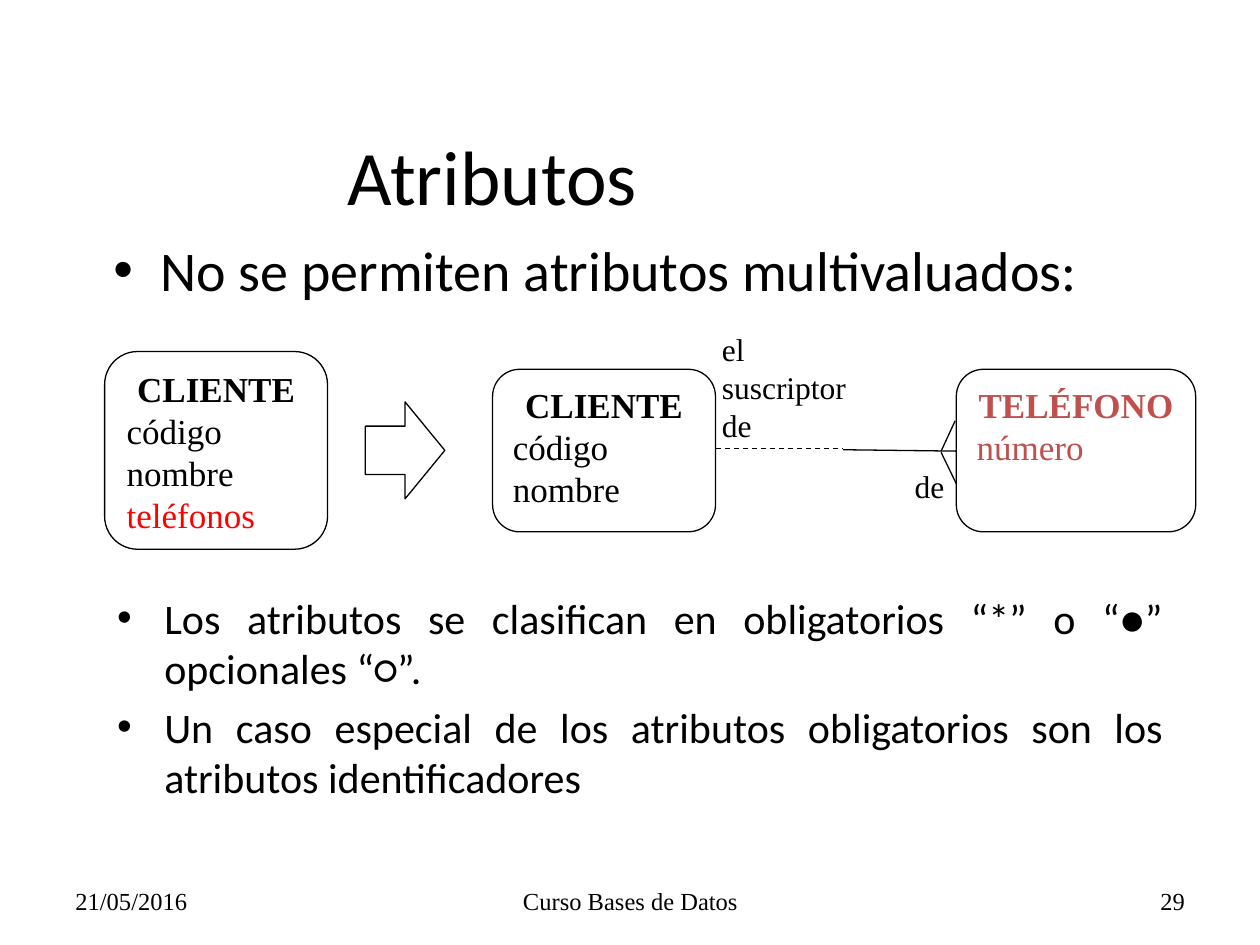
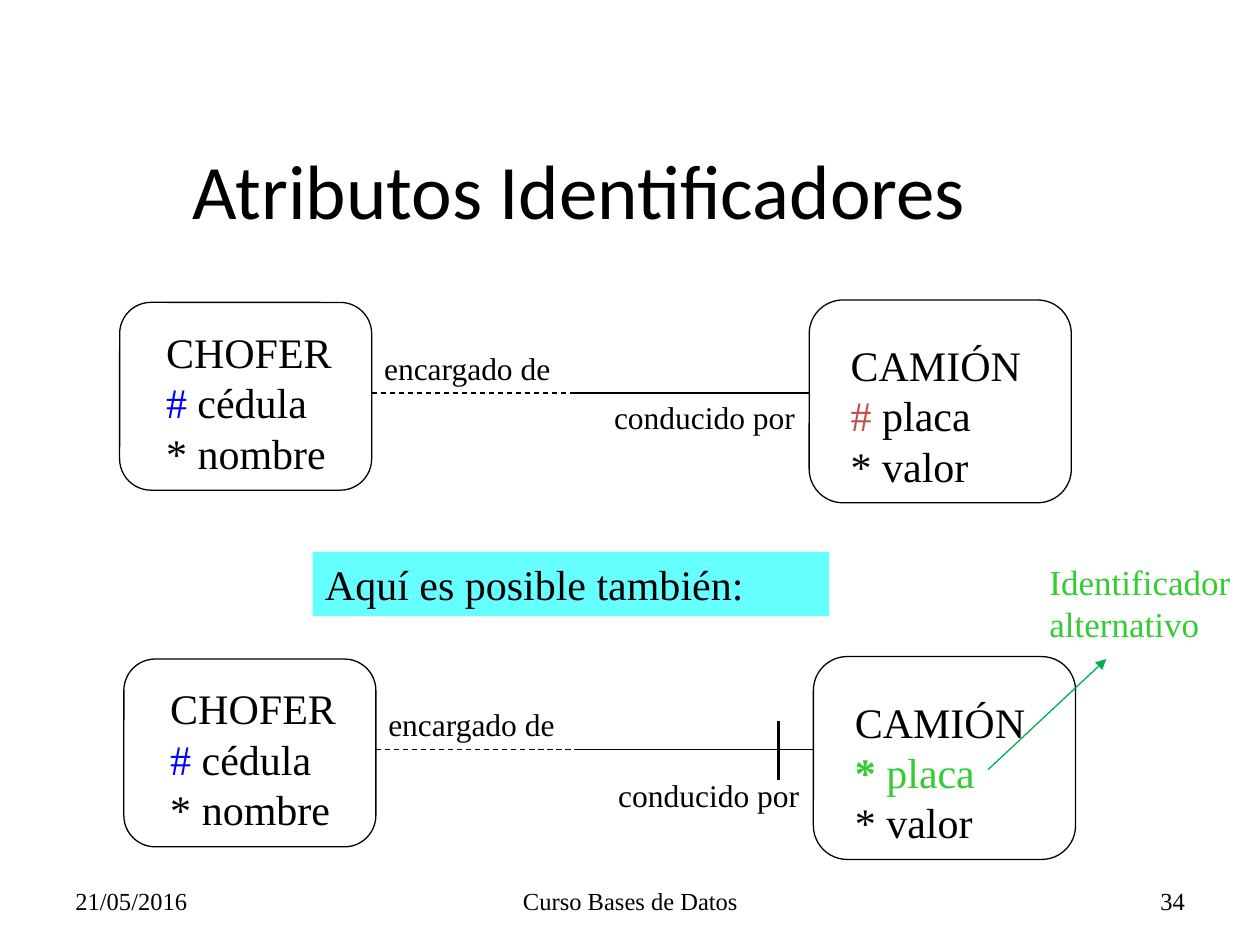
"""Two slides on entity attributes in a database course."""
from lxml.etree import SubElement
from pptx import Presentation
from pptx.dml.color import RGBColor
from pptx.enum.dml import MSO_LINE
from pptx.enum.shapes import MSO_CONNECTOR, MSO_SHAPE
from pptx.enum.text import MSO_ANCHOR, MSO_AUTO_SIZE, PP_ALIGN
from pptx.oxml.ns import qn
from pptx.util import Pt

C = {"black": "000000", "red": "FF0000", "brick": "C0504D", "blue": "0000FF",
     "green": "33CC33", "arrow": "00B050", "cyan": "66FFFF"}
SANS, SERIF = "Calibri", "Times New Roman"
L, M, R, J = PP_ALIGN.LEFT, PP_ALIGN.CENTER, PP_ALIGN.RIGHT, PP_ALIGN.JUSTIFY

DATE, COURSE = "21/05/2016", "Curso Bases de Datos"
FOOTER_X = [(36, 168, L), (246.2, 228.2, M), (516.2, 168, R)]
FOOTER_Y, FOOTER_H = 500.4, 28.8

INTRO = ["No se permiten atributos multivaluados:"]
NOTES = ["Los atributos se clasifican en obligatorios “*” o “●” opcionales “○”. ",
         "Un caso especial de los atributos obligatorios son los atributos identificadores"]
ENTITIES = [
    ((59.8, 200.9, 127.4, 113), "CLIENTE", "black",
     [("código", "black"), ("nombre", "black"), ("teléfonos", "red")]),
    ((281.5, 211, 127.4, 92.9), "CLIENTE", "black",
     [("código", "black"), ("nombre", "black")]),
    ((546.5, 211, 136.8, 92.9), "TELÉFONO", "brick", [("número", "brick")]),
]
PHONE_LINES = [((481.7, 257), (546.5, 257.8), False),
               ((537.8, 257.8), (545.8, 240.5), False),
               ((537.8, 258.5), (546.5, 276.5), False),
               ((409, 256.3), (481.7, 256.3), True)]
PHONE_ROLES = [("el suscriptor de", (405.4, 185, 90.7, 72.7)),
               ("de", (515.5, 263.5, 39.6, 28.8))]

DRIVER = [[("CHOFER", "black")], [("#", "blue"), (" cédula", "black")],
          [("* nombre", "black")]]
TRUCK_KEYS = [[("# ", "brick"), ("placa", "black")],
              [("* ", "green", True), ("placa", "green")]]
RELATIONS = [((68.4, 172.8), 223.9, TRUCK_KEYS[0]), ((70.8, 376.6), 439.9, TRUCK_KEYS[1])]


def color(name):
    return RGBColor.from_string(C[name])


def write(tf, paras, size, font=SERIF, aligns=(L,)):
    for i, runs in enumerate(paras):
        p = tf.paragraphs[0] if i == 0 else tf.add_paragraph()
        p.alignment = aligns[min(i, len(aligns) - 1)]
        for text, name, *bold in runs:
            r = p.add_run()
            r.text = text
            r.font.size, r.font.name = Pt(size), font
            r.font.bold = bool(bold)
            r.font.color.rgb = color(name)


def place(sp, box):
    sp.left, sp.top, sp.width, sp.height = map(Pt, box)


def label(shapes, box, paras, size, wrap=True, anchor=MSO_ANCHOR.TOP, align=L):
    sp = shapes.add_textbox(*map(Pt, box))
    tf = sp.text_frame
    tf.word_wrap, tf.vertical_anchor = wrap, anchor
    write(tf, paras, size, aligns=(align,))
    return sp


def shape(shapes, kind, box, fill=None):
    sp = shapes.add_shape(kind, *map(Pt, box))
    sp.shadow.inherit = False
    if fill:
        sp.fill.solid()
        sp.fill.fore_color.rgb = color(fill)
        sp.line.fill.background()
    else:
        sp.fill.background()
        sp.line.color.rgb = color("black")
        sp.line.width = Pt(0.75)
    sp.text_frame.vertical_anchor = MSO_ANCHOR.TOP
    return sp


def line(s, start, end, dashed=False, name="black", width=0.75, head=False):
    cn = s.shapes.add_connector(MSO_CONNECTOR.STRAIGHT, *map(Pt, start + end))
    cn.line.color.rgb = color(name)
    cn.line.width = Pt(width)
    if dashed:
        cn.line.dash_style = MSO_LINE.DASH
    if head:
        SubElement(cn.line._get_or_add_ln(), qn("a:tailEnd"), type="triangle")
    SubElement(cn._element.spPr, qn("a:effectLst"))


def bullets(tf, items, size, align):
    tf.word_wrap, tf.auto_size = True, MSO_AUTO_SIZE.NONE
    write(tf, [[(item, "black")] for item in items], size, SANS, (align,))
    for p in tf.paragraphs:
        p.space_before = Pt(size * 0.2)
        pPr = p._p.get_or_add_pPr()
        pPr.set("marL", str(Pt(27)))
        pPr.set("indent", str(Pt(-27)))
        SubElement(pPr, qn("a:buFont"), typeface="Arial")
        SubElement(pPr, qn("a:buChar"), char="•")


def new_slide(layout, title, left, top, number):
    s = prs.slides.add_slide(prs.slide_layouts[layout])
    place(s.shapes.title, (left, top, 648, 90))
    tf = s.shapes.title.text_frame
    tf.vertical_anchor, tf.auto_size = MSO_ANCHOR.MIDDLE, MSO_AUTO_SIZE.NONE
    write(tf, [[(title, "black")]], 44, SANS, (M,))
    for text, (x, w, align) in zip((DATE, COURSE, number), FOOTER_X):
        label(s.shapes, (x, FOOTER_Y, w, FOOTER_H), [[(text, "black")]], 14,
              anchor=MSO_ANCHOR.MIDDLE, align=align)
    return s


def entity_group(s, box, text_box, paras, wrap):
    g = s.shapes.add_group_shape()
    shape(g.shapes, MSO_SHAPE.ROUNDED_RECTANGLE, box)
    label(g.shapes, text_box, paras, 24, wrap)


def relation(s, x, y, role_y, key):
    entity_group(s, (x, y, 144, 107.3), (x + 19.4, y + 10.1, 115, 94.3), DRIVER, True)
    truck = [[("CAMIÓN ", "black")], key, [("* valor", "black")]]
    entity_group(s, (x + 394, y - 1.4, 149.8, 115.9),
                 (x + 410.6, y + 17.6, 118.8, 94.3), truck, False)
    label(s.shapes, (x + 144, y + 23, 110.2, 28.8), [[("encargado de", "black")]], 18, False)
    label(s.shapes, (x + 275.4, role_y, 118, 28.8), [[("conducido por", "black")]], 18, False)
    mid = (x + 257.8, y + 51.8)
    line(s, mid, (x + 394, mid[1]))
    line(s, (x + 144, mid[1]), mid, dashed=True)


prs = Presentation()
prs.slide_width, prs.slide_height = Pt(720), Pt(540)

s = new_slide(1, "Atributos", -42.5, 54.7, "29")
body = s.placeholders[1]
place(body, (57.6, 131, 612, 68.4))
bullets(body.text_frame, INTRO, 32, L)
for box, name, tone, attrs in ENTITIES:
    sp = shape(s.shapes, MSO_SHAPE.ROUNDED_RECTANGLE, box)
    write(sp.text_frame, [[(name, tone, True)]] + [[a] for a in attrs], 20, aligns=(M, L))
shape(s.shapes, MSO_SHAPE.RIGHT_ARROW, (208.8, 229.7, 45.4, 55.4))
for start, end, dashed in PHONE_LINES:
    line(s, start, end, dashed)
for text, box in PHONE_ROLES:
    label(s.shapes, box, [[(text, "black")]], 18)
notes = s.shapes.add_textbox(*map(Pt, (59.8, 334.8, 612, 162.7)))
bullets(notes.text_frame, NOTES, 24, J)

s = new_slide(5, "Atributos Identificadores", 7.2, 62.6, "34")
for (x, y), role_y, key in RELATIONS:
    relation(s, x, y, role_y, key)
sp = shape(s.shapes, MSO_SHAPE.RECTANGLE, (178.6, 315.4, 295.2, 36.7), "cyan")
write(sp.text_frame, [[("Aquí es posible también:", "black")]], 24)
label(s.shapes, (592.6, 316.8, 130.3, 55.4), [[("Identificador alternativo", "green")]], 20)
line(s, (564.5, 439.9), (632.2, 376.6), name="arrow", head=True)
line(s, (445, 411.8), (445, 445.7), width=1.5)

prs.save("out.pptx")
